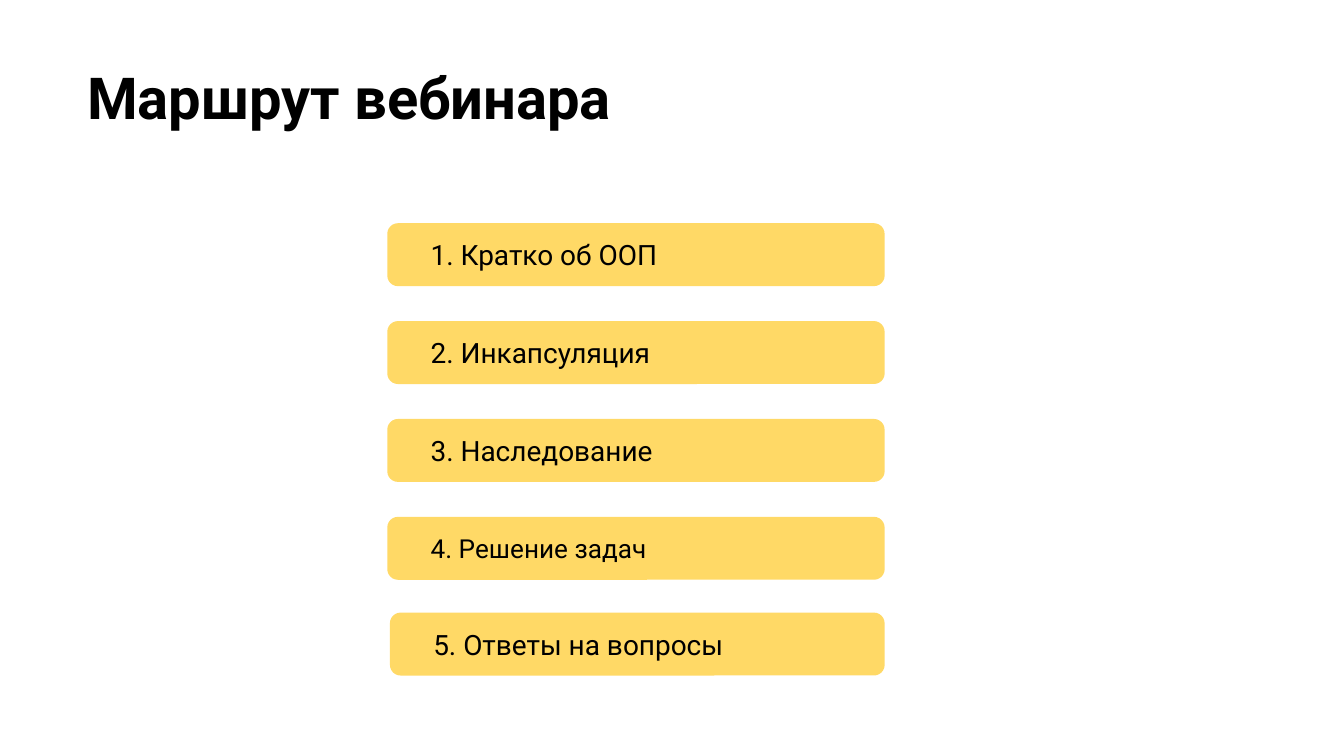
import pptx
import pptx.util
import pptx.dml.color
import pptx.enum.shapes
import pptx.enum.text
from pptx.util import Cm

ALIGN = pptx.enum.text.PP_ALIGN
ANCHOR = pptx.enum.text.MSO_ANCHOR


def color(hex_value):
    return pptx.dml.color.RGBColor.from_string(hex_value)


def format_text(frame, size, bold, anchor, side_inset):
    frame.word_wrap = True
    frame.auto_size = pptx.enum.text.MSO_AUTO_SIZE.NONE
    frame.vertical_anchor = anchor
    frame.margin_left = frame.margin_right = Cm(side_inset)
    frame.margin_top = frame.margin_bottom = Cm(0.25)
    paragraph = frame.paragraphs[0]
    paragraph.alignment = ALIGN.LEFT
    font = paragraph.runs[0].font
    font.name = "Roboto"
    font.size = pptx.util.Pt(size)
    font.bold = bold
    font.color.rgb = color("000000")


deck = pptx.Presentation()
deck.slide_width, deck.slide_height = Cm(25.4), Cm(14.29)
slide = deck.slides.add_slide(deck.slide_layouts[5])
slide.background.fill.solid()
slide.background.fill.fore_color.rgb = color("FFFFFF")

# Heading
heading = slide.shapes.title
heading.left, heading.top = Cm(1.4), Cm(0.91)
heading.width, heading.height = Cm(23.67), Cm(2.72)
heading.text_frame.text = "Маршрут вебинара"
format_text(heading.text_frame, 31, True, ANCHOR.TOP, 0.25)

# Route steps: text, left, top, width, text size
first_top, pitch = 4.22, 1.85
steps = [
    ("1. Кратко об ООП", 7.32, first_top, 9.4, 15),
    ("2. Инкапсуляция", 7.32, first_top + pitch, 9.4, 15),
    ("3. Наследование", 7.32, first_top + 2 * pitch, 9.4, 15),
    ("4. Решение задач", 7.32, first_top + 3 * pitch, 9.4, 14),
    ("5. Ответы на вопросы", 7.37, 11.58, 9.35, 15),
]
for text, left, top, width, size in steps:
    step = slide.shapes.add_shape(
        pptx.enum.shapes.MSO_SHAPE.ROUNDED_RECTANGLE,
        Cm(left), Cm(top), Cm(width), Cm(1.19))
    step.adjustments[0] = 0.17
    step.shadow.inherit = False
    step.fill.solid()
    step.fill.fore_color.rgb = color("FFD966")
    step.line.fill.background()
    step.text_frame.text = text
    format_text(step.text_frame, size, False, ANCHOR.MIDDLE, 0.76)

deck.save("out.pptx")
